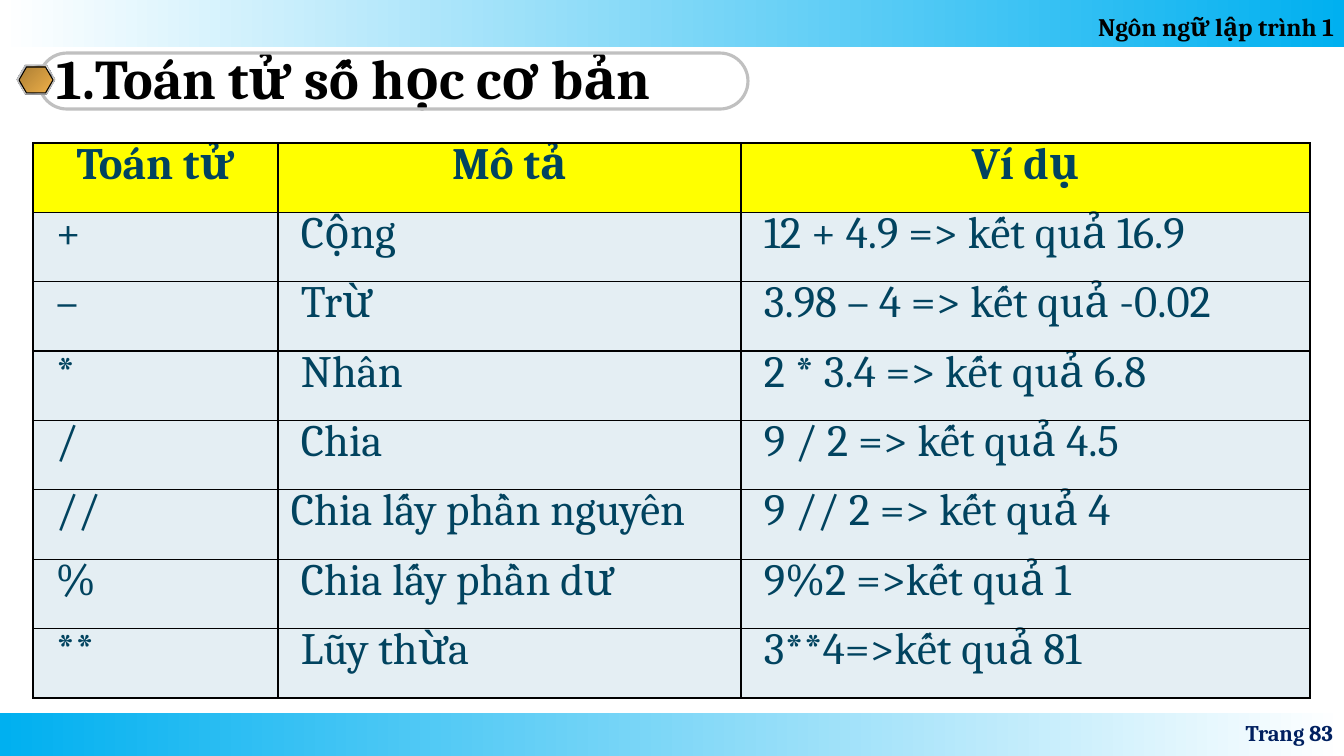
from lxml import etree
from pptx import Presentation, util as u
from pptx.dml.color import RGBColor
from pptx.enum import shapes, text
from pptx.oxml.ns import qn

PX = 914400 / 100.8
theme = {
    "font": "Cambria", "white": "FFFFFF", "sky": "00B0F0", "black": "000000",
    "navy": "002060", "ink": "01435F", "head": "FFFF00", "cell": "E4EEF3",
    "rim": "C0C0C0", "shade": "808080", "gold": [(0, "AB7E34"), (100, "EFB049")],
    "steel": [(0, "E6E6E6"), (7, "7D8496"), (26, "E6E6E6"), (34, "7D8496"),
              (46, "E6E6E6"), (50, "FFFFFF"), (54, "E6E6E6"), (66, "7D8496"),
              (74, "E6E6E6"), (93, "7D8496"), (100, "E6E6E6")],
    "title": 40, "table": 32, "course": 18, "page": 16,
}
Kind = shapes.MSO_SHAPE
Align = text.PP_ALIGN
Anchor = text.MSO_ANCHOR


def write(frame, words, size, color, bold=True, align=Align.LEFT, lead=None, after=0):
    para = frame.paragraphs[0]
    para.alignment = align
    para.line_spacing = lead
    para.space_before = u.Pt(0)
    para.space_after = u.Pt(after)
    run = para.add_run()
    run.text = words
    run.font.name = theme["font"]
    run.font.size = u.Pt(theme[size])
    run.font.bold = bold
    run.font.color.rgb = RGBColor.from_string(theme[color])


def draw(kind, box, fill=None, angle=0, line=None, width=0.75):
    item = slide.shapes.add_shape(kind, *[round(n * PX) for n in box])
    item.shadow.inherit = False
    if fill is None:
        item.fill.background()
    elif isinstance(fill, str):
        item.fill.solid()
        item.fill.fore_color.rgb = RGBColor.from_string(fill)
    else:
        item.fill.gradient()
        item.fill.gradient_angle = angle
        stops = item._element.spPr.find(".//" + qn("a:gsLst"))
        stops.clear()
        for spot, tint in fill:
            stop = etree.SubElement(stops, qn("a:gs"), pos=str(spot * 1000))
            etree.SubElement(stop, qn("a:srgbClr"), val=tint)
    if line:
        item.line.color.rgb = RGBColor.from_string(line)
        item.line.width = u.Pt(width)
    else:
        item.line.fill.background()
    return item


deck = Presentation()
deck.slide_width = round(1344 * PX)
deck.slide_height = round(756 * PX)
slide = deck.slides.add_slide(deck.slide_layouts[5])

fade = [(0, theme["white"]), (100, theme["sky"])]
draw(Kind.RECTANGLE, (0, 713, 1344, 43), [(0, theme["sky"]), (100, theme["white"])])
course = draw(Kind.RECTANGLE, (0, 0, 1344, 47), fade).text_frame
course.vertical_anchor = Anchor.BOTTOM
write(course, "Ngôn ngữ lập trình 1", "course", "black", align=Align.RIGHT)

pill = draw(Kind.ROUNDED_RECTANGLE, (39, 53, 709, 56), line=theme["rim"], width=2.25)
pill.adjustments[0] = 0.5
for box, fill, line in [
    ((17, 66, 38, 29), theme["shade"], None),
    ((17, 65, 38, 29), theme["steel"], theme["rim"]),
    ((19, 67, 34, 26), theme["gold"], theme["black"]),
]:
    gem = draw(Kind.HEXAGON, box, fill, 315, line)
    gem.adjustments[0] = 0.289

title = slide.shapes.title
title.left, title.top, title.width, title.height = [
    round(n * PX) for n in (57, 53, 673, 56)]
frame = title.text_frame
frame.margin_left = frame.margin_right = frame.margin_top = frame.margin_bottom = 0
frame.word_wrap = False
frame.auto_size = text.MSO_AUTO_SIZE.NONE
frame.vertical_anchor = Anchor.MIDDLE
write(frame, "1.Toán tử số học cơ bản", "title", "black", lead=0.9)

page = slide.shapes.add_textbox(*[round(n * PX) for n in (1030, 713, 313, 40)]).text_frame
page.word_wrap = True
page.vertical_anchor = Anchor.MIDDLE
write(page, "Trang 83", "page", "navy", align=Align.RIGHT)

rows = [
    ("Toán tử", "Mô tả", "Ví dụ"),
    ("+", "Cộng", "12 + 4.9 => kết quả 16.9"),
    ("–", "Trừ", "3.98 – 4 => kết quả -0.02"),
    ("*", "Nhân", "2 * 3.4 => kết quả 6.8"),
    ("/", "Chia", "9 / 2 => kết quả 4.5"),
    ("//", "Chia lấy phần nguyên", "9 // 2 => kết quả 4"),
    ("%", "Chia lấy phần dư", "9%2 =>kết quả 1"),
    ("**", "Lũy thừa", "3**4=>kết quả 81"),
]
widths = (245, 463, 569)
table = slide.shapes.add_table(
    len(rows), len(widths), *[round(n * PX) for n in (33, 143, sum(widths), 555)]).table
table.first_row = table.horz_banding = False
for col, width in zip(table.columns, widths):
    col.width = round(width * PX)
for r, row in enumerate(rows):
    for c, words in enumerate(row):
        head = r == 0
        flush = head or words == "Chia lấy phần nguyên"
        cell = table.cell(r, c)
        cell.vertical_anchor = Anchor.MIDDLE
        cell.margin_left = round((13 if flush else 23) * PX)
        cell.margin_right = round(13 * PX)
        cell.margin_top = cell.margin_bottom = round(4 * PX)
        props = cell._tc.get_or_add_tcPr()
        for side in ("a:lnL", "a:lnR", "a:lnT", "a:lnB"):
            edge = etree.SubElement(props, qn(side), w="12700")
            solid = etree.SubElement(edge, qn("a:solidFill"))
            etree.SubElement(solid, qn("a:srgbClr"), val=theme["black"])
        cell.fill.solid()
        cell.fill.fore_color.rgb = RGBColor.from_string(theme["head" if head else "cell"])
        write(cell.text_frame, words, "table", "ink", bold=head,
              align=Align.CENTER if head else Align.LEFT, lead=u.Pt(18), after=18.8)

deck.save("out.pptx")
